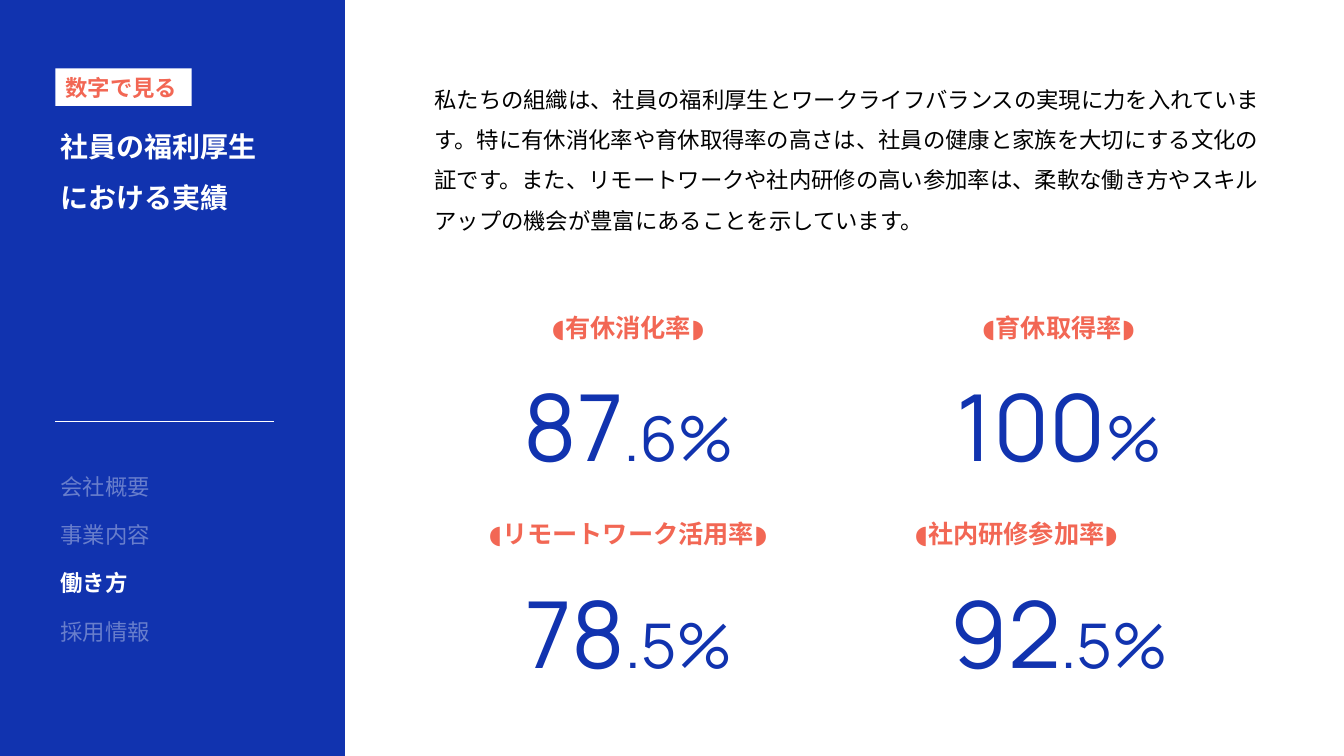
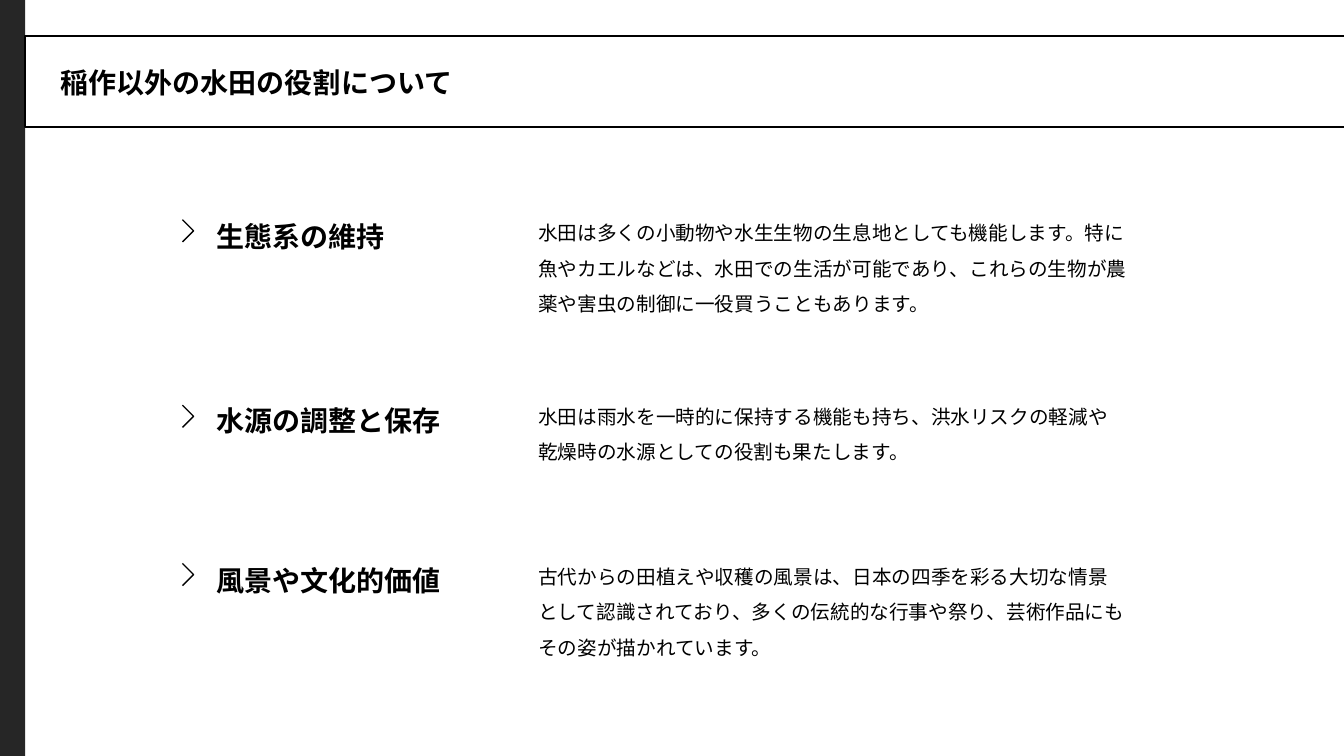
from dataclasses import dataclass

from lxml import etree
from pptx import Presentation
from pptx import util as u
from pptx.dml import color as col
from pptx.enum import shapes, text
from pptx.oxml import ns

PX = 9144


@dataclass(frozen=True)
class Theme:
    blue: str = "1133AF"
    coral: str = "F26754"
    white: str = "FFFFFF"
    black: str = "000000"
    dark: str = "262626"
    sans: str = "Noto Sans CJK JP"
    digit: str = "Manrope"
    title: int = 20
    label: int = 18
    body: int = 16
    small: int = 14
    big: int = 66
    unit: int = 44
    faint: int = 36


T = Theme()
LEFT, MID = text.PP_ALIGN.LEFT, text.PP_ALIGN.CENTER
TOP, CORE = text.MSO_ANCHOR.TOP, text.MSO_ANCHOR.MIDDLE


def px(*vals):
    return [u.Emu(v * PX) for v in vals]


def rgb(hue):
    return col.RGBColor.from_string(hue)


def apply(item, fmt):
    for key, val in fmt.items():
        setattr(item, key, val)


def child(node, tag, **attrs):
    return etree.SubElement(node, ns.qn(tag), attrs)


def add_run(para, words, size, hue, bold=False, face=T.sans, alpha=None):
    run = para.add_run()
    run.text = words
    apply(run.font, {"size": u.Pt(size), "bold": bold, "name": face})
    run.font.color.rgb = rgb(hue)
    props = run._r.get_or_add_rPr()
    child(props, "a:ea", typeface=face)
    if alpha:
        tint = props.find(".//" + ns.qn("a:srgbClr"))
        child(tint, "a:alpha", val=str(alpha * 1000))


def write(shape, paras, space=1.0, align=LEFT, anchor=TOP, after=0):
    frame = shape.text_frame
    apply(frame, {"word_wrap": True, "auto_size": text.MSO_AUTO_SIZE.NONE,
                  "vertical_anchor": anchor})
    fmt = {"alignment": align, "line_spacing": space,
           "space_before": u.Pt(0), "space_after": u.Pt(after)}
    for i, runs in enumerate(paras):
        para = frame.add_paragraph() if i else frame.paragraphs[0]
        apply(para, fmt)
        for run in runs:
            add_run(para, **run)


def add_text(slide, box, runs, **fmt):
    write(slide.shapes.add_textbox(*px(*box)), [runs], **fmt)


def add_rect(slide, box, fill=None, line=None, width=1.0):
    rect = slide.shapes.add_shape(shapes.MSO_SHAPE.RECTANGLE, *px(*box))
    rect.shadow.inherit = False
    if fill:
        rect.fill.solid()
        rect.fill.fore_color.rgb = rgb(fill)
    else:
        rect.fill.background()
    if line:
        rect.line.color.rgb = rgb(line)
        rect.line.width = u.Pt(width)
    else:
        rect.line.fill.background()
    return rect


def add_panel(slide, width, hue):
    panel = add_rect(slide, (0, 0, width, 750), hue)
    slide.shapes._spTree.insert(2, panel._element)


def place(shape, box):
    apply(shape, dict(zip(("left", "top", "width", "height"), px(*box))))
    return shape


def set_title(slide, box, lines, hue, space=1.0):
    paras = [[dict(words=line, size=T.title, hue=hue, bold=True)]
             for line in lines]
    write(place(slide.shapes.title, box), paras, space)


def add_menu(slide, box, items, active):
    menu = place(slide.placeholders[1], box)
    paras = [[dict(words=item, size=T.body, hue=T.white, bold=item == active,
                   alpha=None if item == active else T.faint)]
             for item in items]
    write(menu, paras, 1.5, after=5.7)
    for para in menu.text_frame.paragraphs:
        props = para._p.get_or_add_pPr()
        apply_xml = {"marL": "0", "indent": "0"}
        for key, val in apply_xml.items():
            props.set(key, val)
        child(props, "a:buNone")


def add_rule(slide, x, y, end):
    rule = slide.shapes.add_connector(
        shapes.MSO_CONNECTOR.STRAIGHT, *px(x, y, end, y))
    rule.line.color.rgb = rgb(T.white)
    rule.line.width = u.Pt(0.5)
    child(rule._element.spPr, "a:effectLst")


def add_rate(slide, spot, label, whole, rest, nudge=0):
    row, side = divmod(spot, 2)
    left = 471 + 427 * side
    add_text(slide, (left + 7, 306 + 206 * row, 291, 161),
             [dict(words=whole, size=T.big, hue=T.blue, face=T.digit),
              dict(words=rest, size=T.unit, hue=T.blue, face=T.digit)],
             space=1.5, align=MID)
    add_text(slide, (left + nudge, 305 + 204 * row, 304, 40),
             [dict(words=f"◖{label}◗", size=T.label, hue=T.coral, bold=True)],
             align=MID)


def add_arrow(slide, x, y, reach=11):
    pen = slide.shapes.build_freeform(x, y - reach, scale=PX)
    pen.add_line_segments([(x + reach, y), (x, y + reach)], close=False)
    arrow = pen.convert_to_shape()
    arrow.shadow.inherit = False
    arrow.fill.background()
    arrow.line.color.rgb = rgb(T.black)
    arrow.line.width = u.Pt(1)


def add_role(slide, top, tip, head, note):
    add_arrow(slide, 181, tip)
    add_text(slide, (205, top, 299, 50),
             [dict(words=head, size=T.title, hue=T.black, bold=True)],
             space=1.3)
    add_text(slide, (524, top, 604, 112),
             [dict(words=note, size=T.small, hue=T.black)], space=1.5)


def build_rates(deck):
    slide = deck.slides.add_slide(deck.slide_layouts[1])
    add_panel(slide, 342, T.blue)
    badge = add_rect(slide, (55, 68, 135, 37), T.white)
    write(badge, [[dict(words="数字で見る", size=T.body, hue=T.coral,
                        bold=True)]], anchor=CORE)
    set_title(slide, (50, 107, 282, 105),
              ["社員の福利厚生", "における実績"], T.white, 1.5)
    add_rule(slide, 55, 418, 272)
    add_menu(slide, (50, 451, 282, 215),
             ["会社概要", "事業内容", "働き方", "採用情報"], "働き方")
    intro = (
        "私たちの組織は、社員の福利厚生とワークライフバランスの実現に力を入れています。"
        "特に有休消化率や育休取得率の高さは、社員の健康と家族を大切にする文化の証です。"
        "また、リモートワークや社内研修の高い参加率は、"
        "柔軟な働き方やスキルアップの機会が豊富にあることを示しています。")
    add_text(slide, (421, 67, 848, 167),
             [dict(words=intro, size=T.body, hue=T.black)], space=1.5)
    rates = [("有休消化率", "87", ".6%"),
             ("育休取得率", "100", "%"),
             ("リモートワーク活用率", "78", ".5%"),
             ("社内研修参加率", "92", ".5%", -42)]
    for spot, rate in enumerate(rates):
        add_rate(slide, spot, *rate)


def build_roles(deck):
    slide = deck.slides.add_slide(deck.slide_layouts[5])
    add_panel(slide, 25, T.dark)
    add_rect(slide, (25, 36, 1327, 90), line=T.black, width=1.75)
    set_title(slide, (50, 60, 427, 44),
              ["稲作以外の水田の役割について"], T.black)
    roles = [
        (203, 229, "生態系の維持",
         "水田は多くの小動物や水生生物の生息地としても機能します。"
         "特に魚やカエルなどは、水田での生活が可能であり、"
         "これらの生物が農薬や害虫の制御に一役買うこともあります。"),
        (385, 413, "水源の調整と保存",
         "水田は雨水を一時的に保持する機能も持ち、"
         "洪水リスクの軽減や乾燥時の水源としての役割も果たします。"),
        (544, 570, "風景や文化的価値",
         "古代からの田植えや収穫の風景は、"
         "日本の四季を彩る大切な情景として認識されており、"
         "多くの伝統的な行事や祭り、芸術作品にもその姿が描かれています。")]
    for role in roles:
        add_role(slide, *role)


def main():
    deck = Presentation()
    deck.slide_width, deck.slide_height = u.Inches(13.33), u.Inches(7.5)
    build_rates(deck)
    build_roles(deck)
    deck.save("out.pptx")


if __name__ == "__main__":
    main()
